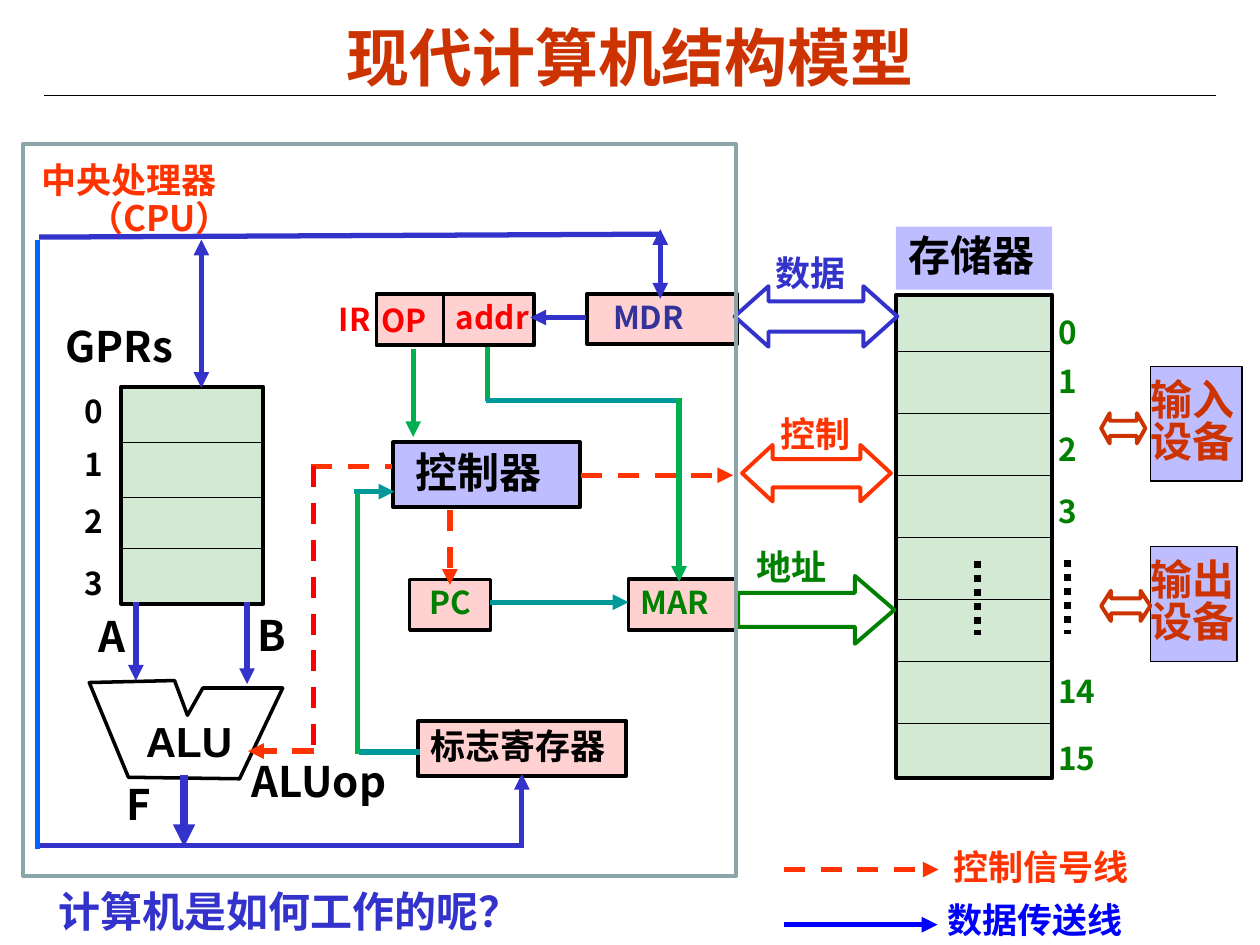
from lxml.etree import SubElement
from pptx import Presentation
from pptx.dml.color import RGBColor
from pptx.enum.dml import MSO_LINE
from pptx.enum.shapes import MSO_CONNECTOR, MSO_SHAPE
from pptx.enum.text import MSO_ANCHOR, PP_ALIGN
from pptx.oxml.ns import qn
from pptx.util import Cm, Pt

FONT = "Noto Sans CJK SC"
BLACK, WHITE, RED, GREEN = "000000", "FFFFFF", "FF0000", "008000"
BLUE, ORANGE, BRICK, TEAL, LEAF = "3333CC", "FF3300", "CC3300", "009999", "00B050"
PINK_TINT, BLUE_TINT, GREEN_TINT = (RED, 18), ("0000FF", 26), (GREEN, 17)
DASH, DOTS = MSO_LINE.DASH, MSO_LINE.ROUND_DOT

# Content: all places and sizes in centimetres
TITLE = "现代计算机结构模型"
# lines of text, left, top, width, height, fill, outline width, size, colour, left inset
BOXES = [
    (["PC"], 8.26, 11.68, 1.63, 1.02, PINK_TINT, 2, 18, GREEN, 0.4),
    (["MAR"], 12.67, 11.68, 2.16, 1.02, PINK_TINT, 2.25, 18, GREEN, 0.25),
    (["MDR"], 11.84, 5.92, 3.02, 1.02, PINK_TINT, 2.25, 18, "333399", 0.52),
    (["标志寄存器"], 8.43, 14.53, 4.19, 1.12, PINK_TINT, 2.25, 20, BLACK, 0.25),
    (["控制器"], 7.92, 8.92, 3.78, 1.3, BLUE_TINT, 2.25, 24, BLACK, 0.45),
    ([], 7.59, 5.92, 3.18, 1.04, PINK_TINT, 2.25, 18, RED, 0),
    (["存储器"], 18.06, 4.57, 3.15, 1.27, BLUE_TINT, 0, 24, BLACK, 0.25),
    (["输入", "设备"], 23.19, 7.39, 1.85, 2.31, BLUE_TINT, 0.75, 24, BRICK, 0),
    (["输出", "设备"], 23.19, 11.02, 1.75, 2.31, BLUE_TINT, 0.75, 24, BRICK, 0),
]
# left, top, width, height, heights of the row lines
REGISTERS = (2.44, 7.8, 2.87, 4.37, [8.92, 10.03, 11.05])
MEMORY = (18.06, 5.94, 3.15, 9.75, [7.09 + 1.25 * row for row in range(7)])
ALU = [(1.8, 13.76), (3.52, 13.72), (3.78, 14.42), (4.09, 13.87),
       (5.7, 13.87), (4.83, 15.7), (2.59, 15.67)]
# shape, left, top, width, height, head length, colour
BUS_ARROWS = [
    (MSO_SHAPE.LEFT_RIGHT_ARROW, 14.81, 5.77, 3.28, 1.22, 0.56, BLUE),
    (MSO_SHAPE.LEFT_RIGHT_ARROW, 14.96, 8.97, 3, 1.14, 0.54, ORANGE),
    (MSO_SHAPE.RIGHT_ARROW, 14.88, 11.61, 3.15, 1.37, 0.58, GREEN),
    (MSO_SHAPE.LEFT_RIGHT_ARROW, 22.2, 8.33, 0.89, 0.61, 0.28, BRICK),
    (MSO_SHAPE.LEFT_RIGHT_ARROW, 22.2, 11.91, 0.99, 0.61, 0.32, BRICK),
]
# start, end, colour, arrowheads (0 none, 1 end, 2 both), width, dash
WIRES = [
    ((2.74, 12.14), (2.74, 13.72), BLUE, 1, 3, None),
    ((4.98, 12.14), (4.98, 13.79), BLUE, 1, 3, None),
    ((11.71, 9.58), (14.78, 9.58), ORANGE, 1, 3, DASH),
    ((8.94, 5.92), (8.94, 6.96), BLACK, 0, 2, None),
    ((21.51, 11.28), (21.51, 12.78), BLACK, 0, 4, DOTS),
    ((19.71, 11.3), (19.71, 12.8), BLACK, 0, 4, DOTS),
    ((0.79, 17.04), (10.57, 17.04), BLUE, 0, 3, None),
    ((10.52, 16.99), (10.52, 15.6), BLUE, 1, 3, None),
    ((3.71, 15.62), (3.71, 17.07), BLUE, 1, 4.25, None),
    ((0.76, 17.12), (0.76, 4.83), "0066FF", 0, 3, None),
    ((0.79, 4.78), (13.34, 4.72), BLUE, 0, 3, None),
    ((13.31, 4.62), (13.31, 6.02), BLUE, 2, 3, None),
    ((4.06, 4.83), (4.06, 7.82), BLUE, 2, 3, None),
    ((11.81, 6.4), (10.69, 6.4), BLUE, 1, 3, None),
    ((8.33, 7.04), (8.33, 8.81), LEAF, 1, 3, None),
    ((9.88, 12.14), (12.67, 12.14), TEAL, 1, 3, None),
    ((9.83, 6.99), (9.83, 8.08), LEAF, 0, 3, None),
    ((9.8, 8.08), (13.69, 8.08), TEAL, 0, 3, None),
    ((13.69, 8.03), (13.69, 11.73), LEAF, 1, 3, None),
    ((6.27, 9.4), (7.9, 9.4), ORANGE, 0, 3, DASH),
    ((6.32, 15.14), (5, 15.14), ORANGE, 1, 3, DASH),
    ((6.32, 9.4), (6.32, 15.09), RED, 0, 3, DASH),
    ((7.24, 15.16), (8.46, 15.16), TEAL, 0, 3, None),
    ((7.21, 9.91), (7.21, 15.19), LEAF, 0, 3, None),
    ((7.14, 9.91), (7.95, 9.91), TEAL, 1, 3, None),
    ((9.07, 10.29), (9.07, 11.79), ORANGE, 1, 3, DASH),
    ((15.8, 17.53), (18.92, 17.53), ORANGE, 1, 3, DASH),
    ((15.8, 18.64), (18.9, 18.64), "0000FF", 1, 3, None),
    ((0.89, 1.93), (24.51, 1.93), BLACK, 0, 0.75, None),
]
# text, left, vertical centre, width, size, colour
LABELS = [
    ("GPRs", 1.07, 7.03, 3.25, 24, BLACK),
    ("A", 1.73, 12.88, 1.73, 24, BLACK),
    ("B", 4.95, 12.85, 1.73, 24, BLACK),
    ("F", 2.31, 16.26, 0.94, 24, BLACK),
    ("ALUop", 4.83, 15.8, 3.51, 24, BLACK),
    ("IR", 6.58, 6.48, 1.37, 18, RED),
    ("OP", 7.44, 6.5, 1.57, 18, RED),
    ("addr", 8.94, 6.43, 2.08, 18, RED),
    ("数据", 15.39, 5.54, 2.24, 20, BLUE),
    ("控制", 15.49, 8.79, 2.11, 20, ORANGE),
    ("地址", 15.01, 11.48, 2.49, 20, GREEN),
    ("控制信号线", 18.97, 17.53, 4.72, 20, ORANGE),
    ("数据传送线", 18.85, 18.6, 4.72, 20, "0000FF"),
    ("中央处理器（CPU）", 0.58, 4.06, 4.5, 20, ORANGE),
    ("计算机是如何工作的呢？", 0.94, 18.42, 11.38, 24, BLUE),
]
REGISTER_NUMBERS = [("0", 8.33), ("1", 9.4), ("2", 10.54), ("3", 11.79)]
MEMORY_NUMBERS = [("0", 6.73), ("1", 7.72), ("2", 9.09), ("3", 10.34),
                  ("14", 13.97), ("15", 15.32)]

presentation = Presentation()
presentation.slide_width, presentation.slide_height = Cm(25.4), Cm(19.05)
slide = presentation.slides.add_slide(presentation.slide_layouts[5])
shapes = slide.shapes


def rgb(value):
    return RGBColor.from_string(value)


def paint(shape, fill, outline, width):
    """Fill is None, a hex colour, or a (hex colour, opacity percent) pair."""
    shape.shadow.inherit = False
    if fill is None:
        shape.fill.background()
    else:
        color, opacity = fill if isinstance(fill, tuple) else (fill, 100)
        shape.fill.solid()
        shape.fill.fore_color.rgb = rgb(color)
        if opacity < 100:
            color_node = shape._element.spPr.find(qn("a:solidFill"))[0]
            SubElement(color_node, qn("a:alpha"), val=str(opacity * 1000))
    if width:
        shape.line.color.rgb = rgb(outline)
        shape.line.width = Pt(width)
    else:
        shape.line.fill.background()


def write(shape, lines, size, color, inset=0.25, font=FONT, hanging=0.95,
          align=PP_ALIGN.LEFT, spacing=0.9):
    frame = shape.text_frame
    frame.word_wrap = True
    frame.vertical_anchor = MSO_ANCHOR.MIDDLE
    frame.margin_left, frame.margin_right = Cm(inset), Cm(0)
    frame.margin_top = frame.margin_bottom = Cm(0)
    frame.text = "\n".join(lines)
    for paragraph in frame.paragraphs:
        paragraph.alignment, paragraph.line_spacing = align, spacing
        paragraph.font.name, paragraph.font.size = font, Pt(size)
        paragraph.font.bold = True
        paragraph.font.color.rgb = rgb(color)
        properties = paragraph._p.get_or_add_pPr()
        properties.set("marL", str(Cm(hanging)))
        properties.set("indent", str(-Cm(hanging)))
        SubElement(properties.find(qn("a:defRPr")), qn("a:ea"), typeface=FONT)


def add_preset(kind, left, top, width, height, fill, outline, line_width):
    shape = shapes.add_shape(kind, Cm(left), Cm(top), Cm(width), Cm(height))
    paint(shape, fill, outline, line_width)
    return shape


def add_wire(start, end, color, heads=0, width=0.75, dash=None):
    wire = shapes.add_connector(MSO_CONNECTOR.STRAIGHT, *map(Cm, start + end))
    wire.line.color.rgb = rgb(color)
    wire.line.width = Pt(width)
    if dash:
        wire.line.dash_style = dash
    for tag in ([], ["a:tailEnd"], ["a:headEnd", "a:tailEnd"])[heads]:
        SubElement(wire.line._get_or_add_ln(), qn(tag), type="triangle")
    SubElement(wire._element.spPr, qn("a:effectLst"))


def add_label(text, left, middle, width, size, color, **style):
    height = size * 0.055
    box = shapes.add_textbox(Cm(left), Cm(middle - height / 2), Cm(width), Cm(height))
    write(box, [text], size, color, **style)


# Title
title = shapes.title
title.left, title.top, title.width, title.height = Cm(1.27), Cm(0.36), Cm(22.86), Cm(1.55)
write(title, [TITLE], 36, BRICK, inset=0, font="Arial", hanging=0,
      align=PP_ALIGN.CENTER, spacing=1)

# Register file and memory
for left, top, width, height, rows in (REGISTERS, MEMORY):
    add_preset(MSO_SHAPE.RECTANGLE, left, top, width, height, GREEN_TINT, BLACK, 2.25)
    for y in rows:
        add_wire((left, y), (left + width, y), BLACK)

# ALU
builder = shapes.build_freeform(*map(Cm, ALU[0]))
builder.add_line_segments([(Cm(x), Cm(y)) for x, y in ALU[1:]], close=True)
paint(builder.convert_to_shape(), None, BLACK, 2)
add_label("ALU", 2.69, 15, 2.26, 24, BLACK, font="Arial", hanging=0)

# Boxes and bus arrows
for lines, left, top, width, height, fill, line_width, size, color, inset in BOXES:
    box = add_preset(MSO_SHAPE.RECTANGLE, left, top, width, height, fill, BLACK, line_width)
    if lines:
        write(box, lines, size, color, inset, spacing=0.83 if len(lines) > 1 else 0.9)
for kind, left, top, width, height, head, color in BUS_ARROWS:
    arrow = add_preset(kind, left, top, width, height, WHITE, color, 2.25)
    arrow.adjustments[1] = head

# Wires, then the CPU frame
for wire in WIRES:
    add_wire(*wire)
add_preset(MSO_SHAPE.RECTANGLE, 0.46, 2.9, 14.38, 14.76, None, "8AA6A8", 2)

# Labels
for label in LABELS:
    add_label(*label)
for number, middle in REGISTER_NUMBERS:
    add_label(number, 1.45, middle, 0.89, 18, BLACK)
for number, middle in MEMORY_NUMBERS:
    add_label(number, 21.08, middle, 1.35, 18, GREEN)

presentation.save("out.pptx")
